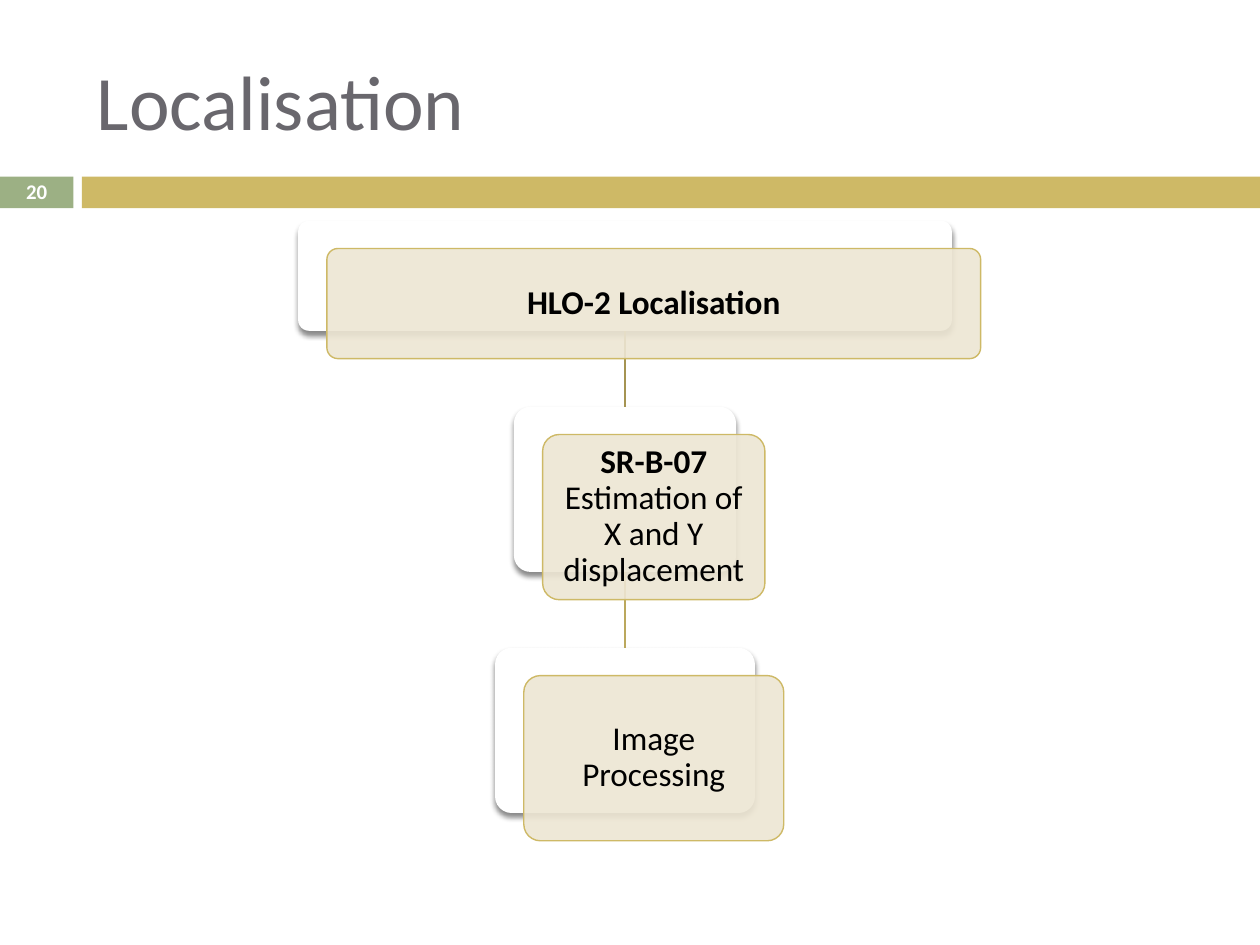
from dataclasses import dataclass

from lxml import etree
from pptx import Presentation
from pptx.dml.color import RGBColor
from pptx.enum.shapes import MSO_CONNECTOR, MSO_SHAPE
from pptx.enum.text import MSO_ANCHOR, PP_ALIGN
from pptx.oxml import parse_xml
from pptx.oxml.ns import nsdecls, qn
from pptx.util import Cm, Pt

RECT = MSO_SHAPE.RECTANGLE
ROUNDED = MSO_SHAPE.ROUNDED_RECTANGLE
STRAIGHT = MSO_CONNECTOR.STRAIGHT
MIDDLE = MSO_ANCHOR.MIDDLE
CENTER, LEFT = PP_ALIGN.CENTER, PP_ALIGN.LEFT
TOP_SIDE, BOTTOM_SIDE = 0, 2


@dataclass(frozen=True)
class Theme:
    font: str = "Calibri"
    title: str = "69676D"
    gold: str = "CEB966"
    green: str = "9CB084"
    card: str = "EDE6D3"
    white: str = "FFFFFF"
    black: str = "000000"
    links: tuple[str, ...] = ("A59452", "BBA85D")
    title_size: float = 44
    card_size: float = 19
    number_size: float = 11.9


@dataclass(frozen=True)
class Box:
    left: float
    top: float
    width: float
    height: float

    def lengths(self) -> tuple:
        return Cm(self.left), Cm(self.top), Cm(self.width), Cm(self.height)


@dataclass(frozen=True)
class Line:
    text: str
    bold: bool = False


@dataclass(frozen=True)
class Level:
    width: float
    height: float
    lines: tuple[Line, ...]


THEME = Theme()
CENTRE_X, TREE_TOP, LEVEL_GAP = 12.6, 4.45, 1.53
CARD_SHIFT_X, CARD_SHIFT_Y = 0.58, 0.56
CARD_INSET = 0.2
LEVELS = (
    Level(13.18, 2.22, (Line("HLO-2 Localisation", True),)),
    Level(4.48, 3.33, (Line("SR-B-07", True),
                       Line("Estimation of X and Y displacement"))),
    Level(5.24, 3.33, (Line("Image Processing"),)),
)


def rgb(colour: str) -> RGBColor:
    return RGBColor.from_string(colour)


def format_font(font, size: float, colour: str, bold: bool = False) -> None:
    formats = {"name": THEME.font, "size": Pt(size), "bold": bold}
    for attribute, value in formats.items():
        setattr(font, attribute, value)
    font.color.rgb = rgb(colour)


def add_filled(slide, kind, box: Box, fill: str):
    shape = slide.shapes.add_shape(kind, *box.lengths())
    shape.shadow.inherit = False
    shape.fill.solid()
    shape.fill.fore_color.rgb = rgb(fill)
    shape.line.fill.background()
    if kind == ROUNDED:
        shape.adjustments[0] = 0.1
    return shape


def write_lines(shape, lines: tuple[Line, ...], size: float, colour: str,
                inset: float) -> None:
    frame = shape.text_frame
    formats = {"word_wrap": True, "vertical_anchor": MIDDLE}
    formats |= {f"margin_{side}": Cm(inset)
                for side in ("left", "top", "right", "bottom")}
    for attribute, value in formats.items():
        setattr(frame, attribute, value)
    paragraph = frame.paragraphs[0]
    paragraph.alignment = CENTER
    paragraph.line_spacing = 0.9
    for index, line in enumerate(lines):
        if index:
            paragraph.add_line_break()
        run = paragraph.add_run()
        run.text = line.text
        format_font(run.font, size, colour, line.bold)


def add_backing(slide, box: Box):
    """Draw the white card with a soft shadow below it."""
    backing = add_filled(slide, ROUNDED, box, THEME.white)
    effects = backing._element.spPr.find(qn("a:effectLst"))
    effects.append(parse_xml(
        f'<a:outerShdw {nsdecls("a")} blurRad="{Pt(3)}" dist="{Pt(2.4)}" '
        f'dir="5400000" rotWithShape="0"><a:srgbClr val="{THEME.black}">'
        '<a:alpha val="45000"/></a:srgbClr></a:outerShdw>'))
    return backing


def add_card(slide, box: Box, lines: tuple[Line, ...]) -> None:
    """Draw the translucent card that carries the text of a level."""
    card = add_filled(slide, ROUNDED, box, THEME.card)
    colour = card._element.spPr.find(qn("a:solidFill"))[0]
    etree.SubElement(colour, qn("a:alpha"), val="90000")
    card.line.color.rgb = rgb(THEME.gold)
    card.line.width = Pt(0.79)
    write_lines(card, lines, THEME.card_size, THEME.black, CARD_INSET)


def add_link(slide, parent, child, colour: str) -> None:
    link = slide.shapes.add_connector(STRAIGHT, 0, 0, 0, 0)
    link.begin_connect(parent, BOTTOM_SIDE)
    link.end_connect(child, TOP_SIDE)
    link.line.color.rgb = rgb(colour)
    link.line.width = Pt(1.5)
    etree.SubElement(link._element.spPr, qn("a:effectLst"))


def add_header(slide) -> None:
    number = add_filled(slide, RECT, Box(0, 3.56, 1.48, 0.64), THEME.green)
    write_lines(number, (Line("20", True),), THEME.number_size, THEME.white, 0)
    add_filled(slide, RECT, Box(1.65, 3.56, 23.75, 0.64), THEME.gold)
    title = slide.shapes.title
    title.left, title.top, title.width, title.height = Box(
        1.7, 0.64, 22.66, 2.74).lengths()
    title.text_frame.text = "Localisation"
    title.text_frame.vertical_anchor = MIDDLE
    heading = title.text_frame.paragraphs[0]
    heading.alignment = LEFT
    format_font(heading.runs[0].font, THEME.title_size, THEME.title)


def add_tree(slide) -> None:
    boxes, top = [], TREE_TOP
    for level in LEVELS:
        boxes.append(Box(CENTRE_X - level.width / 2, top, level.width, level.height))
        top += level.height + LEVEL_GAP
    backings = [add_backing(slide, box) for box in boxes]
    for parent, child, colour in zip(backings, backings[1:], THEME.links):
        add_link(slide, parent, child, colour)
    for level, box in zip(LEVELS, boxes):
        shifted = Box(box.left + CARD_SHIFT_X, box.top + CARD_SHIFT_Y,
                      box.width, box.height)
        add_card(slide, shifted, level.lines)


def main() -> None:
    presentation = Presentation()
    presentation.slide_width, presentation.slide_height = Cm(25.4), Cm(19.05)
    title_only = presentation.slide_layouts[5]
    slide = presentation.slides.add_slide(title_only)
    add_header(slide)
    add_tree(slide)
    presentation.save("out.pptx")


if __name__ == "__main__":
    main()
